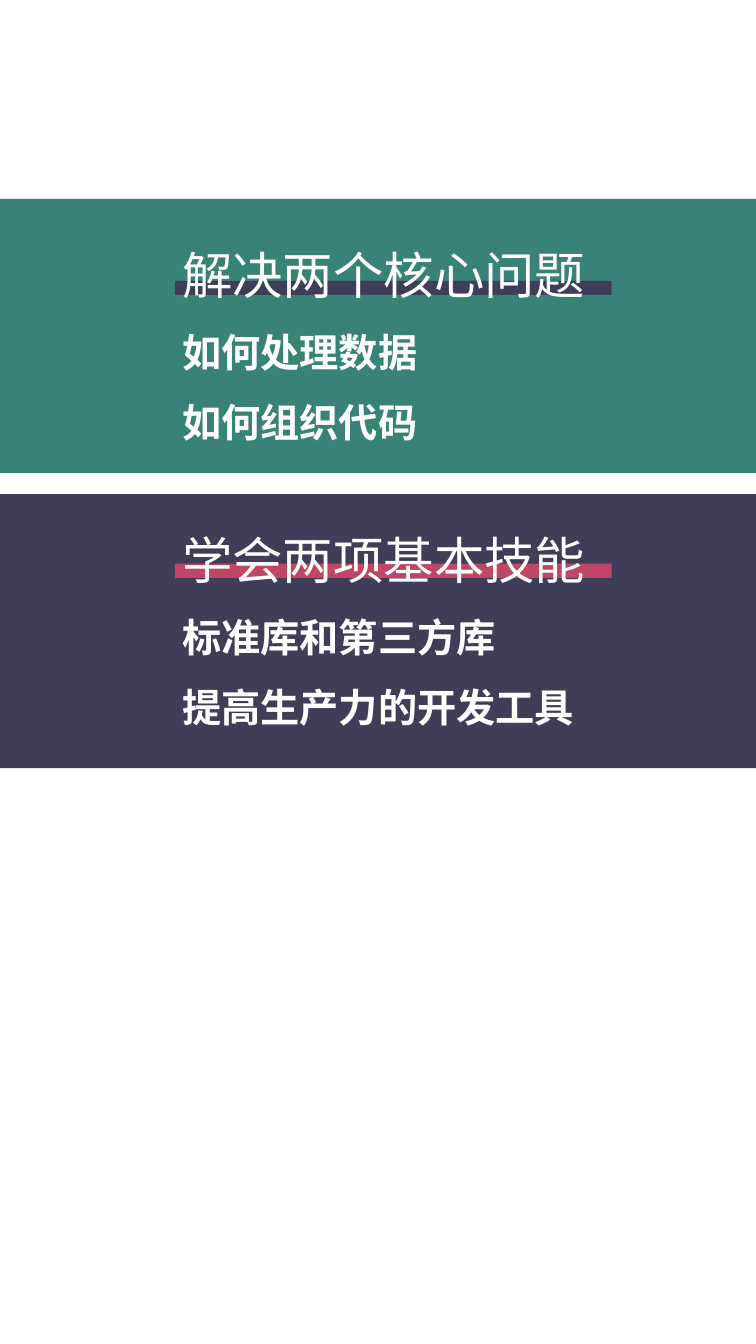
import pptx
import pptx.util
import pptx.dml.color
import pptx.enum.shapes
import pptx.enum.text
import pptx.oxml.ns
from dataclasses import dataclass
from lxml import etree

Pt = pptx.util.Pt


@dataclass
class Theme:
    green: str = "398277"
    plum: str = "403D58"
    rose: str = "C14566"
    white: str = "FFFFFF"
    font: str = "Noto Sans CJK SC"
    head: int = 27
    item: int = 21
    lead: float = 1.5


class Page:
    def __init__(self, deck, theme):
        self.theme = theme
        self.slide = deck.slides.add_slide(deck.slide_layouts[3])
        title = self.slide.shapes.title.element
        title.getparent().remove(title)

    def rect(self, left, top, width, height, fill):
        box = self.slide.shapes.add_shape(
            pptx.enum.shapes.MSO_SHAPE.RECTANGLE,
            Pt(left), Pt(top), Pt(width), Pt(height))
        box.shadow.inherit = False
        box.fill.solid()
        box.fill.fore_color.rgb = pptx.dml.color.RGBColor.from_string(fill)
        box.line.fill.background()

    def line(self, para, text, size, bold):
        para.line_spacing = self.theme.lead
        para.space_before = Pt(0)
        props = para._p.get_or_add_pPr()
        props.set("marL", "0")
        props.set("indent", "0")
        etree.SubElement(props, pptx.oxml.ns.qn("a:buNone"))
        run = para.add_run()
        run.text = text
        font = run.font
        font.size, font.bold = Pt(size), bold
        font.color.rgb = pptx.dml.color.RGBColor.from_string(self.theme.white)
        font.name = self.theme.font
        east = etree.SubElement(run._r.get_or_add_rPr(), pptx.oxml.ns.qn("a:ea"))
        east.set("typeface", self.theme.font)

    def body(self, idx, left, top, width, height, head, items):
        box = self.slide.placeholders[idx]
        box.left, box.top = Pt(left), Pt(top)
        box.width, box.height = Pt(width), Pt(height)
        # Bring the text in front of the panel
        self.slide.shapes._spTree.append(box.element)
        frame = box.text_frame
        frame.word_wrap = True
        frame.auto_size = pptx.enum.text.MSO_AUTO_SIZE.NONE
        self.line(frame.paragraphs[0], head, self.theme.head, False)
        for item in items:
            self.line(frame.add_paragraph(), item, self.theme.item, True)


theme = Theme()
deck = pptx.Presentation()
wide = 405
deck.slide_width, deck.slide_height = Pt(wide), Pt(720)
page = Page(deck, theme)

# Panels: top, bar top, text top, fill, bar fill, heading, items
panels = [
    (106.5, 150.5, 110.9, theme.green, theme.plum,
     "解决两个核心问题", ["如何处理数据", "如何组织代码"]),
    (264.7, 302, 263.5, theme.plum, theme.rose,
     "学会两项基本技能", ["标准库和第三方库", "提高生产力的开发工具"]),
]
for idx, (top, bar, text, fill, mark, head, items) in enumerate(panels, 1):
    page.rect(0, top, wide, 146.8, fill)
    page.rect(93.7, bar, 234, 7.6, mark)
    page.body(idx, 90.4, text, 232.6, 132.5, head, items)

deck.save("out.pptx")
